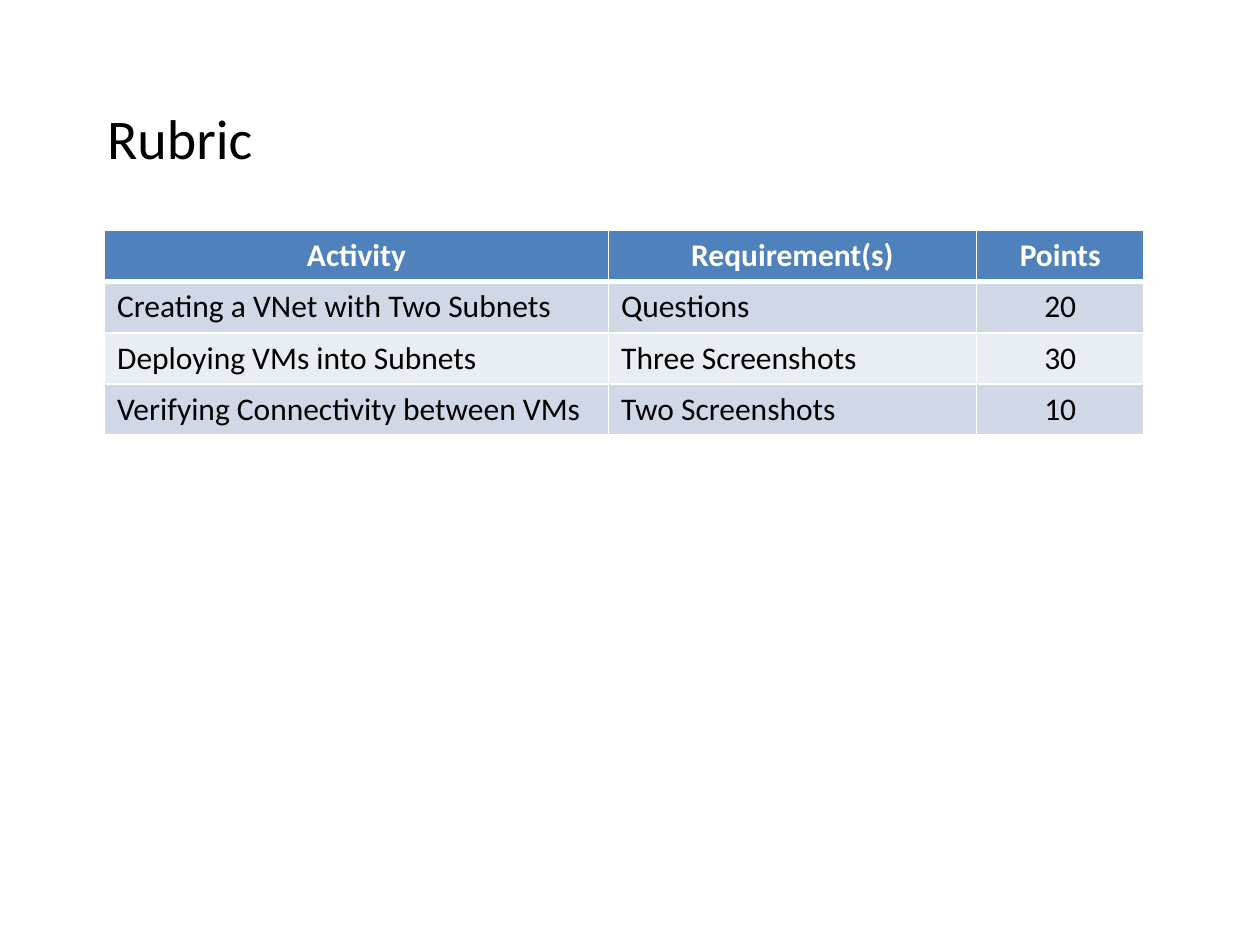
from lxml import etree
from pptx import Presentation
from pptx import util as u
from pptx.dml.color import RGBColor
from pptx.enum import text
from pptx.oxml import ns

THEME = {
    "font": "Calibri", "title": 32, "body": 18,
    "ink": "000000", "white": "FFFFFF",
    "head": "4F81BD", "bands": ("D0D8E8", "E9EDF4"),
}
ROWS = [
    ("Activity", "Requirement(s)", "Points"),
    ("Creating a VNet with Two Subnets", "Questions", "20"),
    ("Deploying VMs into Subnets", "Three Screenshots", "30"),
    ("Verifying Connectivity between VMs", "Two Screenshots", "10"),
]
WIDTHS = (4, 2.92, 1.33)


def style(para, size, color, bold, align):
    look = {"name": THEME["font"], "size": u.Pt(size), "bold": bold}
    for key, value in look.items():
        setattr(para.font, key, value)
    para.font.color.rgb = RGBColor.from_string(color)
    para.alignment = align


def edge(cell, side, width):
    """Draw one white border; side is L, R, T or B."""
    line = etree.SubElement(cell._tc.get_or_add_tcPr(),
                            ns.qn(f"a:ln{side}"), w=str(u.Pt(width)))
    fill = etree.SubElement(line, ns.qn("a:solidFill"))
    etree.SubElement(fill, ns.qn("a:srgbClr"), val=THEME["white"])


deck = Presentation()
deck.slide_width, deck.slide_height = u.Inches(10), u.Inches(7.5)
slide = deck.slides.add_slide(deck.slide_layouts[5])

title = slide.shapes.title
place = {"left": 0.75, "top": 0.77, "width": 9, "height": 0.7}
for key, value in place.items():
    setattr(title, key, u.Inches(value))
title.text_frame.text = "Rubric"
title.text_frame.vertical_anchor = text.MSO_ANCHOR.TOP
style(title.text_frame.paragraphs[0], THEME["title"], THEME["ink"],
      False, text.PP_ALIGN.LEFT)

frame = slide.shapes.add_table(
    len(ROWS), len(WIDTHS), u.Inches(0.83), u.Inches(1.83),
    u.Inches(sum(WIDTHS)), u.Inches(1.62))
table = frame.table
for col, width in zip(table.columns, WIDTHS):
    col.width = u.Inches(width)

for r, row in enumerate(ROWS):
    head = r == 0
    fill = THEME["head"] if head else THEME["bands"][(r - 1) % 2]
    for c, words in enumerate(row):
        cell = table.cell(r, c)
        cell.text = words
        mid = head or c == len(WIDTHS) - 1
        style(cell.text_frame.paragraphs[0], THEME["body"],
              THEME["white"] if head else THEME["ink"], head,
              text.PP_ALIGN.CENTER if mid else text.PP_ALIGN.LEFT)
        for side in "LRTB":
            thick = (head and side == "B") or (r == 1 and side == "T")
            edge(cell, side, 3 if thick else 1)
        cell.fill.solid()
        cell.fill.fore_color.rgb = RGBColor.from_string(fill)

deck.save("out.pptx")
